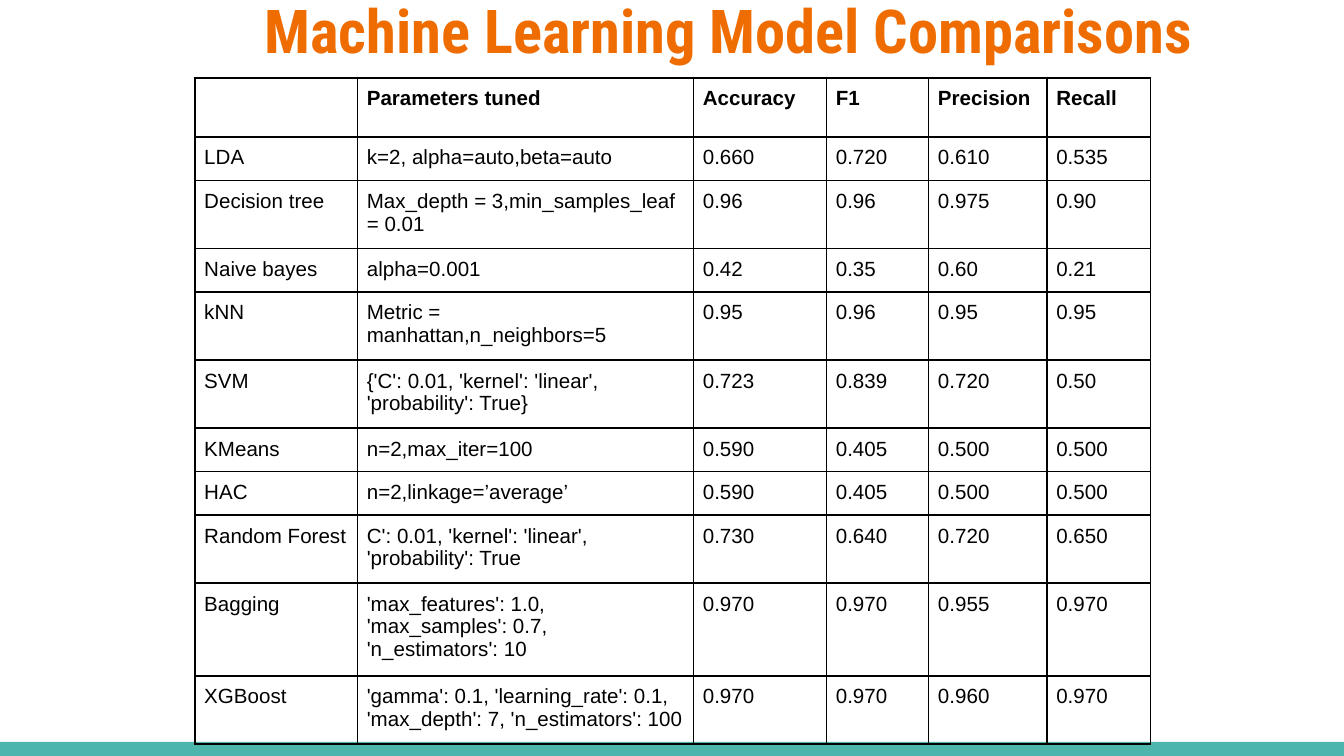
import pptx
import pptx.dml.color
import pptx.enum.shapes
import pptx.enum.text
import pptx.oxml
import pptx.oxml.ns
import pptx.util
from pptx.util import Inches

RGBColor = pptx.dml.color.RGBColor
ORANGE = RGBColor(0xEF, 0x6C, 0x00)
TEAL = RGBColor(0x4D, 0xB6, 0xAC)
BLACK = RGBColor(0x00, 0x00, 0x00)

TITLE = "Machine Learning Model Comparisons"
ROWS = [
    ("", "Parameters tuned", "Accuracy", "F1", "Precision", "Recall"),
    ("LDA", "k=2, alpha=auto,beta=auto", "0.660", "0.720", "0.610", "0.535"),
    ("Decision tree", "Max_depth = 3,min_samples_leaf = 0.01",
     "0.96", "0.96", "0.975", "0.90"),
    ("Naive bayes", "alpha=0.001", "0.42", "0.35", "0.60", "0.21"),
    ("kNN", "Metric = manhattan,n_neighbors=5", "0.95", "0.96", "0.95", "0.95"),
    ("SVM", "{'C': 0.01, 'kernel': 'linear', 'probability': True}",
     "0.723", "0.839", "0.720", "0.50"),
    ("KMeans", "n=2,max_iter=100", "0.590", "0.405", "0.500", "0.500"),
    ("HAC", "n=2,linkage=’average’", "0.590", "0.405", "0.500", "0.500"),
    ("Random Forest", "C': 0.01, 'kernel': 'linear', 'probability': True",
     "0.730", "0.640", "0.720", "0.650"),
    ("Bagging", "'max_features': 1.0, 'max_samples': 0.7, 'n_estimators': 10",
     "0.970", "0.970", "0.955", "0.970"),
    ("XGBoost", "'gamma': 0.1, 'learning_rate': 0.1, 'max_depth': 7, 'n_estimators': 100",
     "0.970", "0.970", "0.960", "0.970"),
]
COLUMN_WIDTHS = (1.21, 2.5, 0.99, 0.76, 0.88, 0.77)
MINIMUM_ROW_HEIGHT = 0.01  # rows grow to fit their text
CELL_INSET = 0.07


def add_run(paragraph, text, font_name, size, color, bold):
    run = paragraph.add_run()
    run.text = text
    run.font.name = font_name
    run.font.size = pptx.util.Pt(size)
    run.font.color.rgb = color
    run.font.bold = bold


def add_footer_bar(slide):
    bar = slide.shapes.add_shape(pptx.enum.shapes.MSO_SHAPE.RECTANGLE,
                                 Inches(0), Inches(5.52), Inches(10), Inches(0.11))
    bar.shadow.inherit = False
    bar.fill.solid()
    bar.fill.fore_color.rgb = TEAL
    bar.line.fill.background()


def add_title(slide):
    box = slide.shapes.add_textbox(Inches(1.87), Inches(-0.17), Inches(9.32), Inches(0.77))
    frame = box.text_frame
    frame.word_wrap = True
    frame.vertical_anchor = pptx.enum.text.MSO_ANCHOR.MIDDLE
    frame.margin_left = frame.margin_right = Inches(0.1)
    frame.margin_top = frame.margin_bottom = Inches(0.1)
    add_run(frame.paragraphs[0], TITLE, "Roboto Condensed", 32.4, ORANGE, True)


def set_borders(cell):
    """Draw a 1 pt black line on all four sides; borders must precede the fill."""
    properties = cell._tc.get_or_add_tcPr()
    for position, side in enumerate(("lnL", "lnR", "lnT", "lnB")):
        border = pptx.oxml.parse_xml(
            f'<a:{side} {pptx.oxml.ns.nsdecls("a")} w="12700"><a:solidFill>'
            f'<a:srgbClr val="{BLACK}"/></a:solidFill></a:{side}>')
        properties.insert(position, border)


def add_model_table(slide):
    table = slide.shapes.add_table(
        len(ROWS), len(COLUMN_WIDTHS), Inches(1.45), Inches(0.58),
        Inches(sum(COLUMN_WIDTHS)), Inches(MINIMUM_ROW_HEIGHT * len(ROWS))).table
    table.horz_banding = False
    table.first_row = False
    for column, width in zip(table.columns, COLUMN_WIDTHS):
        column.width = Inches(width)
    for row_index, texts in enumerate(ROWS):
        for column_index, text in enumerate(texts):
            cell = table.cell(row_index, column_index)
            cell.margin_left = cell.margin_right = Inches(CELL_INSET)
            cell.margin_top = cell.margin_bottom = Inches(CELL_INSET)
            cell.fill.background()
            set_borders(cell)
            if text:
                add_run(cell.text_frame.paragraphs[0], text, "Arial", 11, BLACK,
                        row_index == 0)


def main():
    presentation = pptx.Presentation()
    presentation.slide_width = Inches(10)
    presentation.slide_height = presentation.slide_width * 9 // 16
    slide = presentation.slides.add_slide(presentation.slide_layouts[6])
    add_footer_bar(slide)
    add_title(slide)
    add_model_table(slide)
    presentation.save("out.pptx")


if __name__ == "__main__":
    main()
